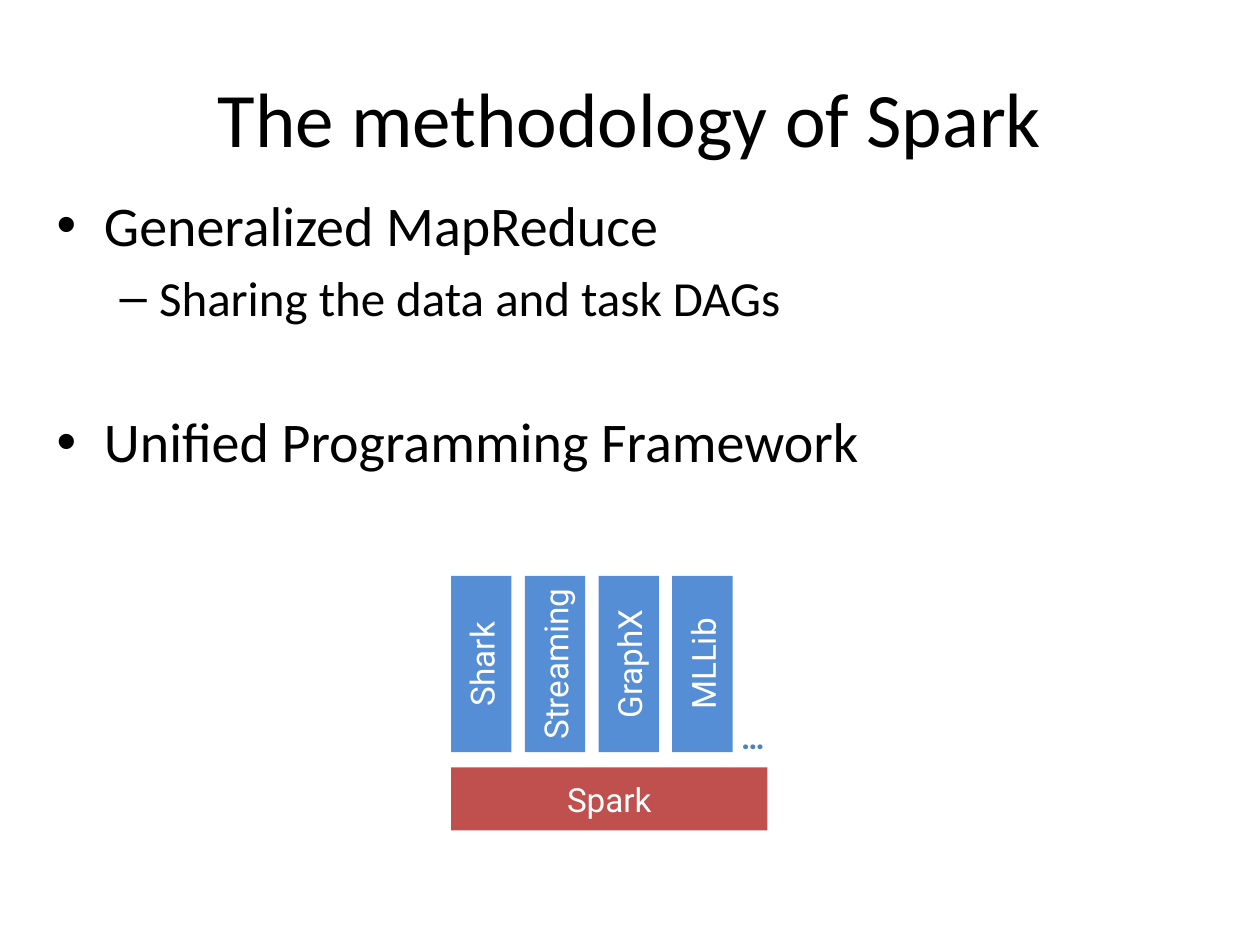
from pptx import Presentation
from pptx import util as u
from pptx.dml import color
from pptx.enum import shapes, text

COLORS = {"ink": "000000", "module": "558ED5", "core": "C0504D",
          "label": "FFFFFF", "more": "4F81BD"}
MODULES = ["Shark", "Streaming", "GraphX", "MLLib"]
BULLETS = [("Generalized MapReduce", 0, 32, 0),
           ("Sharing the data and task DAGs", 1, 28, 5.6),
           ("Unified Programming Framework", 0, 32, 46.2)]


def rgb(name):
    return color.RGBColor.from_string(COLORS[name])


def place(sp, box):
    sp.left, sp.top, sp.width, sp.height = (u.Inches(v) for v in box)


def add_run(p, words, size, font, ink, bold=False):
    r = p.add_run()
    r.text = words
    r.font.size = u.Pt(size)
    r.font.name = font
    r.font.bold = bold
    r.font.color.rgb = rgb(ink)


def add_title(s, box):
    sp = s.shapes.title
    place(sp, box)
    tf = sp.text_frame
    tf.vertical_anchor = text.MSO_ANCHOR.MIDDLE
    p = tf.paragraphs[0]
    p.alignment = text.PP_ALIGN.CENTER
    add_run(p, "The methodology of Spark", 44, "Calibri", "ink")


def add_body(s, box):
    sp = s.placeholders[1]
    place(sp, box)
    tf = sp.text_frame
    for i, (words, level, size, before) in enumerate(BULLETS):
        p = tf.add_paragraph() if i else tf.paragraphs[0]
        p.level = level
        p.space_before = u.Pt(before)
        add_run(p, words, size, "Calibri", "ink")


def add_block(group, words, box, fill, upright=False):
    sp = group.shapes.add_shape(shapes.MSO_SHAPE.RECTANGLE,
                                *(u.Inches(v) for v in box))
    sp.shadow.inherit = False
    sp.fill.solid()
    sp.fill.fore_color.rgb = rgb(fill)
    sp.line.fill.background()
    tf = sp.text_frame
    tf.word_wrap = True
    tf.margin_left = tf.margin_right = 0
    tf.vertical_anchor = text.MSO_ANCHOR.MIDDLE
    if upright:
        tf._txBody.bodyPr.set("vert", "vert270")
    p = tf.paragraphs[0]
    p.alignment = text.PP_ALIGN.CENTER
    add_run(p, words, 19, "Roboto", "label")


def add_stack(s, box):
    left, top, width, height = box
    block_w, block_h, pitch, core_h = 0.48, 1.4, 0.585, 0.5
    group = s.shapes.add_group_shape()
    add_block(group, "Spark", (left, top + height - core_h, width, core_h), "core")
    for i, name in enumerate(MODULES):
        add_block(group, name, (left + i * pitch, top, block_w, block_h),
                  "module", upright=True)
    sp = group.shapes.add_textbox(u.Inches(left + 2.17), u.Inches(top + 1.08),
                                  u.Inches(0.45), u.Inches(0.4))
    tf = sp.text_frame
    tf.word_wrap = False
    p = tf.paragraphs[0]
    p.alignment = text.PP_ALIGN.CENTER
    add_run(p, "…", 18, "Roboto", "more", bold=True)


def main():
    prs = Presentation()
    prs.slide_width, prs.slide_height = u.Inches(10), u.Inches(7.5)
    s = prs.slides.add_slide(prs.slide_layouts[1])
    add_title(s, (0.5, 0.3, 9, 1.25))
    add_body(s, (0.35, 1.46, 9.5, 4.62))
    add_stack(s, (3.58, 4.57, 2.51, 2.02))
    prs.save("out.pptx")


if __name__ == "__main__":
    main()
